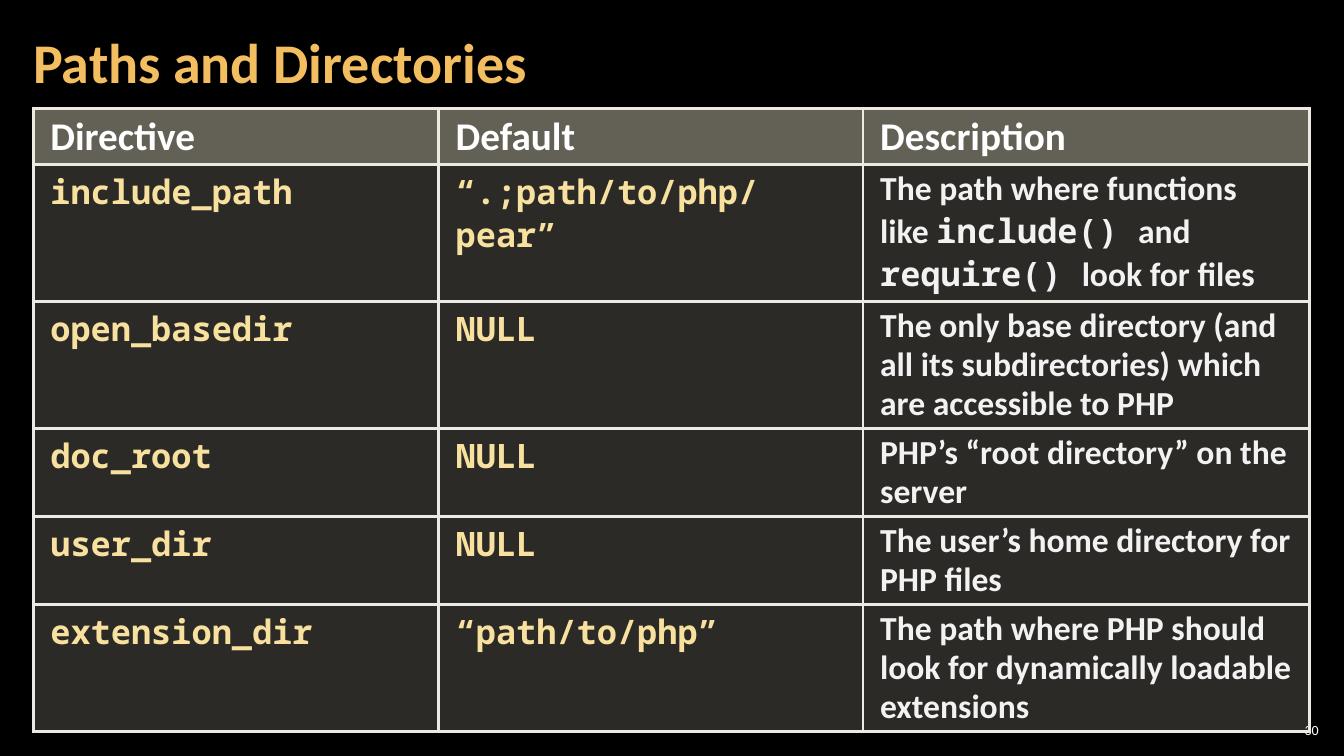
from lxml.etree import SubElement
from pptx import Presentation
from pptx.dml.color import RGBColor
from pptx.enum.text import MSO_ANCHOR, MSO_AUTO_SIZE, PP_ALIGN
from pptx.oxml import parse_xml
from pptx.oxml.ns import nsdecls, qn
from pptx.util import Inches, Pt

# Content: backticks enclose code
TITLE = "Paths and Directories"
NUMBER = "30"
ROWS = [
    ("Directive", "Default", "Description"),
    ("`include_path`", "`“.;path/to/php/pear”`",
     "The path where functions like `include() `and `require() `look for files"),
    ("`open_basedir`", "`NULL`",
     "The only base directory (and all its subdirectories) which are accessible to PHP"),
    ("`doc_root`", "`NULL`", "PHP’s “root directory” on the server"),
    ("`user_dir`", "`NULL`", "The user’s home directory for PHP files"),
    ("`extension_dir`", "`“path/to/php”`",
     "The path where PHP should look for dynamically loadable extensions"),
]

# Layout in inches
WIDTH, HEIGHT = 13.33, 7.5
TABLE_LEFT, TABLE_TOP = 0.33, 1.08
COLUMNS = [4.02, 4.21, 4.43]
ROW_HEIGHTS = [0.55, 1.36, 1.26, 0.87, 0.87, 1.25]

# Style
BLACK = RGBColor(0x00, 0x00, 0x00)
WHITE = RGBColor(0xFF, 0xFF, 0xFF)
GOLD = RGBColor(0xF3, 0xBE, 0x60)
CODE = RGBColor(0xF8, 0xE1, 0x9F)
BODY = RGBColor(0xF2, 0xF2, 0xF2)
HEADER_FILL = RGBColor(0xC6, 0xC0, 0xAA)
BODY_FILL = RGBColor(0xD9, 0xD5, 0xC7)
BORDER = RGBColor(0xEC, 0xEA, 0xE3)
SANS, MONO = "Calibri", "Noto Sans Mono"


def style(span, size, color, name=SANS, bold=True):
    span.font.size, span.font.name, span.font.bold = Pt(size), name, bold
    span.font.color.rgb = color


def set_frame(frame, side, end):
    frame.margin_left = frame.margin_right = Inches(side)
    frame.margin_top = frame.margin_bottom = Inches(end)
    frame.vertical_anchor = MSO_ANCHOR.MIDDLE
    frame.word_wrap = True
    frame.auto_size = MSO_AUTO_SIZE.NONE


def paint_cell(cell, color, percent):
    cell.fill.solid()
    cell.fill.fore_color.rgb = color
    properties = cell._tc.get_or_add_tcPr()
    tint = properties.find(qn("a:solidFill"))[0]
    SubElement(tint, qn("a:alpha")).set("val", str(percent * 1000))
    for index, side in enumerate("LRTB"):
        properties.insert(index, parse_xml(
            f'<a:ln{side} {nsdecls("a")} w="{Pt(2.25)}"><a:solidFill>'
            f'<a:srgbClr val="{BORDER}"/></a:solidFill></a:ln{side}>'))


def write_cell(cell, text, is_header, is_description):
    cell.margin_left = cell.margin_right = Inches(0.17)
    cell.margin_top = cell.margin_bottom = Inches(0.05)
    para = cell.text_frame.paragraphs[0]
    para.line_spacing = 0.95
    for index, part in enumerate(text.split("`")):
        if not part:
            continue
        span = para.add_run()
        span.text = part
        if is_header:
            style(span, 28, WHITE)
        else:
            style(span, 24, BODY if is_description else CODE,
                  MONO if index % 2 else SANS)


def main():
    deck = Presentation()
    deck.slide_width, deck.slide_height = Inches(WIDTH), Inches(HEIGHT)
    page = deck.slides.add_slide(deck.slide_layouts[5])
    page.background.fill.solid()
    page.background.fill.fore_color.rgb = BLACK

    # Title
    title = page.shapes.title
    title.left, title.top = Inches(0.21), Inches(0.04)
    title.width, title.height = Inches(10.47), Inches(1.21)
    set_frame(title.text_frame, 0.12, 0.04)
    title.text_frame.text = TITLE
    para = title.text_frame.paragraphs[0]
    para.alignment, para.line_spacing = PP_ALIGN.LEFT, 0.9
    style(para.runs[0], 40, GOLD)

    # Page number
    box = page.shapes.add_textbox(Inches(12.65), Inches(7.14), Inches(0.47), Inches(0.21))
    set_frame(box.text_frame, 0.04, 0.04)
    box.text_frame.text = NUMBER
    para = box.text_frame.paragraphs[0]
    para.alignment = PP_ALIGN.RIGHT
    style(para.runs[0], 10, WHITE, bold=False)

    # Table of directives
    table = page.shapes.add_table(
        len(ROWS), len(COLUMNS), Inches(TABLE_LEFT), Inches(TABLE_TOP),
        Inches(sum(COLUMNS)), Inches(sum(ROW_HEIGHTS))).table
    table.horz_banding = False
    for column, width in zip(table.columns, COLUMNS):
        column.width = Inches(width)
    for r, (texts, height) in enumerate(zip(ROWS, ROW_HEIGHTS)):
        table.rows[r].height = Inches(height)
        for c, text in enumerate(texts):
            cell = table.cell(r, c)
            write_cell(cell, text, r == 0, c == 2)
            if r == 0:
                paint_cell(cell, HEADER_FILL, 50)
            else:
                paint_cell(cell, BODY_FILL, 20)

    deck.save("out.pptx")


if __name__ == "__main__":
    main()
